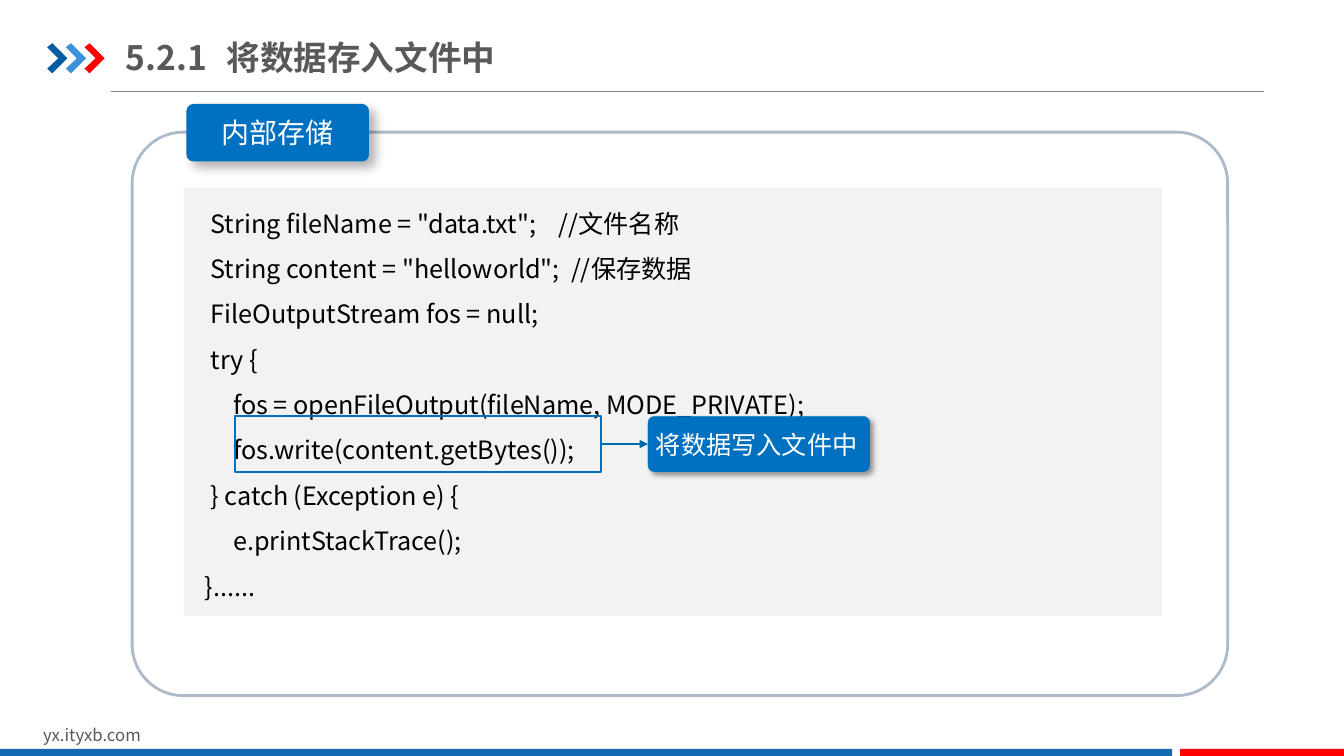
from dataclasses import dataclass

from lxml import etree
from pptx import Presentation
from pptx.dml.color import RGBColor
from pptx.enum.shapes import MSO_CONNECTOR, MSO_SHAPE
from pptx.enum.text import MSO_ANCHOR, PP_ALIGN
from pptx.oxml.ns import qn
from pptx.util import Cm, Pt

RECT, ROUNDED = MSO_SHAPE.RECTANGLE, MSO_SHAPE.ROUNDED_RECTANGLE
STRAIGHT = MSO_CONNECTOR.STRAIGHT
TOP, MIDDLE = MSO_ANCHOR.TOP, MSO_ANCHOR.MIDDLE
LEFT, CENTER = PP_ALIGN.LEFT, PP_ALIGN.CENTER
LEFT_SIDE, RIGHT_SIDE = 1, 3


@dataclass(frozen=True)
class Theme:
    font: str = "Noto Sans CJK SC"
    title_size: int = 24
    tag_size: int = 20
    code_size: int = 18
    footer_size: int = 12
    code_pitch: float = 32.4
    heading: str = "595959"
    white: str = "FFFFFF"
    black: str = "000000"
    rule: str = "808080"
    chevrons: tuple = ("005DA2", "3992DB", "FF0000")
    footer_blue: str = "1369B2"
    footer_red: str = "FF0000"
    frame: str = "ADBACA"
    accent: str = "0070C0"
    callout_edge: str = "0075CC"
    arrow: str = "006BA9"
    code_back: str = "F2F2F2"


THEME = Theme()

CODE = """\
   String fileName = "data.txt";    //文件名称
   String content = "helloworld";  //保存数据
   FileOutputStream fos = null;
   try {
       fos = openFileOutput(fileName, MODE_PRIVATE);
       fos.write(content.getBytes());
   } catch (Exception e) {
       e.printStackTrace();
  }......"""


def rgb(color):
    return RGBColor.from_string(color)


def style(shape, fill=None, edge=None, edge_width=1.0):
    shape.shadow.inherit = False
    if fill:
        shape.fill.solid()
        shape.fill.fore_color.rgb = rgb(fill)
    else:
        shape.fill.background()
    if edge:
        shape.line.color.rgb = rgb(edge)
        shape.line.width = Pt(edge_width)
    else:
        shape.line.fill.background()


def add_block(slide, kind, box, **look):
    block = slide.shapes.add_shape(kind, *(Cm(length) for length in box))
    style(block, **look)
    return block


def cast_shadow(shape, opacity, blur, distance):
    effects = shape._element.spPr.find(qn("a:effectLst"))
    shadow = etree.SubElement(effects, qn("a:outerShdw"), blurRad=str(Pt(blur)),
                              dist=str(Pt(distance)), dir=str(45 * 60000),
                              algn="tl", rotWithShape="0")
    color = etree.SubElement(shadow, qn("a:srgbClr"), val=THEME.black)
    etree.SubElement(color, qn("a:alpha"), val=str(opacity * 1000))


def write(shape, text, size, color, align=LEFT, anchor=MIDDLE,
          insets=(0.25, 0.13, 0.25, 0.13), bold=False, pitch=None):
    frame = shape.text_frame
    frame.word_wrap = True
    frame.vertical_anchor = anchor
    (frame.margin_left, frame.margin_top,
     frame.margin_right, frame.margin_bottom) = (Cm(inset) for inset in insets)
    frame.text = text
    for paragraph in frame.paragraphs:
        paragraph.alignment = align
        if pitch:
            paragraph.line_spacing = Pt(pitch)
        font = paragraph.font
        font.name, font.size, font.bold = THEME.font, Pt(size), bold
        font.color.rgb = rgb(color)
        for run in paragraph.runs:
            east_asian = etree.SubElement(run._r.get_or_add_rPr(), qn("a:ea"))
            east_asian.set("typeface", THEME.font)


def add_line(slide, start, end, color, width):
    line = slide.shapes.add_connector(STRAIGHT, *(Cm(c) for c in start + end))
    line.line.color.rgb = rgb(color)
    line.line.width = Pt(width)
    etree.SubElement(line._element.spPr, qn("a:effectLst"))
    return line


def add_header(slide, left, top, width):
    # Rule under the heading
    add_line(slide, (left + 1.6, top + 1.22), (left + width, top + 1.22), THEME.rule, 0.75)

    # Three chevrons at an equal pitch
    outline = ((0, 0.1), (0.13, 0), (0.51, 0.38), (0.13, 0.76), (0, 0.64), (0.28, 0.38))
    for index, color in enumerate(THEME.chevrons):
        points = [(Cm(left + 0.47 * index + x), Cm(top + y)) for x, y in outline]
        builder = slide.shapes.build_freeform(*points[0], scale=1.0)
        builder.add_line_segments(points[1:], close=True)
        style(builder.convert_to_shape(), fill=color)

    # Section number and heading
    heading = slide.shapes.add_textbox(Cm(left + 1.98), Cm(top - 0.35), Cm(10.82), Cm(1.4))
    write(heading, "5.2.1\t将数据存入文件中", THEME.title_size, THEME.heading,
          insets=(0, 0.18, 0, 0.18), bold=True)


def add_footer(slide, top, width):
    site = slide.shapes.add_textbox(Cm(0.84), Cm(top - 0.74), Cm(8.08), Cm(0.76))
    write(site, "yx.ityxb.com", THEME.footer_size, THEME.heading, anchor=TOP)
    blue_width, gap, height = 29.54, 0.2, 0.22
    red_left = blue_width + gap
    add_block(slide, RECT, (0, top, blue_width, height), fill=THEME.footer_blue)
    add_block(slide, RECT, (red_left, top, width - red_left, height), fill=THEME.footer_red)


def add_storage_panel(slide, left, top, width, height):
    # Rounded frame and its tag
    frame = add_block(slide, ROUNDED, (left, top, width, height),
                      edge=THEME.frame, edge_width=2)
    frame.adjustments[0] = 0.091
    tag = add_block(slide, ROUNDED, (left + 1.37, top - 0.71, 4.6, 1.45), fill=THEME.accent)
    tag.adjustments[0] = 0.12
    cast_shadow(tag, 30, 8, 6)
    write(tag, "内部存储", THEME.tag_size, THEME.white, CENTER, insets=(0.5, 0.13, 0.5, 0.13))

    # Code listing
    listing = add_block(slide, RECT, (left + 1.3, top + 1.4, 24.66, 10.8), fill=THEME.code_back)
    write(listing, CODE, THEME.code_size, THEME.black, anchor=TOP, pitch=THEME.code_pitch)

    # Highlighted statement and its explanation
    row_top, row_height = top + 7.16, 1.4
    highlight = add_block(slide, RECT, (left + 2.59, row_top, 9.22, row_height),
                          edge=THEME.accent, edge_width=1.5)
    callout = add_block(slide, ROUNDED, (left + 13, row_top, 5.59, row_height),
                        fill=THEME.accent, edge=THEME.callout_edge, edge_width=0.25)
    callout.adjustments[0] = 0.12
    cast_shadow(callout, 40, 4, 3)
    write(callout, "将数据写入文件中", THEME.code_size, THEME.white, insets=(0.15, 0.13, 0, 0.13))

    # Arrow between them
    middle = row_top + row_height / 2
    arrow = add_line(slide, (left + 11.81, middle), (left + 13, middle), THEME.arrow, 2)
    arrow.begin_connect(highlight, RIGHT_SIDE)
    arrow.end_connect(callout, LEFT_SIDE)
    etree.SubElement(arrow.line._get_or_add_ln(), qn("a:tailEnd"), type="triangle")


def main():
    deck = Presentation()
    deck.slide_width, deck.slide_height = Cm(33.87), Cm(19.05)
    slide = deck.slides.add_slide(deck.slide_layouts[6])
    add_header(slide, left=1.19, top=1.09, width=30.66)
    add_footer(slide, top=18.87, width=33.87)
    add_storage_panel(slide, left=3.33, top=3.33, width=27.61, height=14.2)
    deck.save("out.pptx")


if __name__ == "__main__":
    main()
